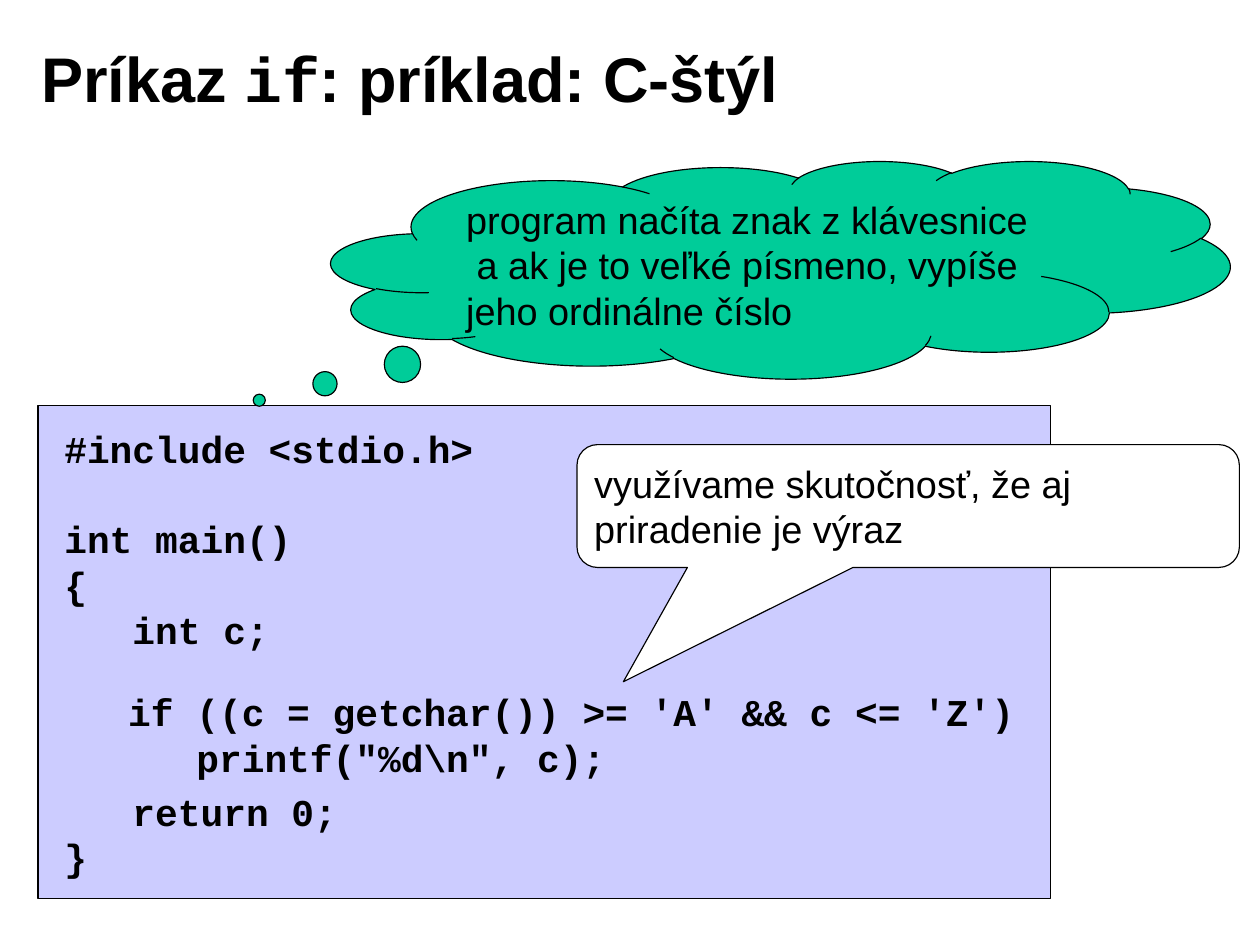
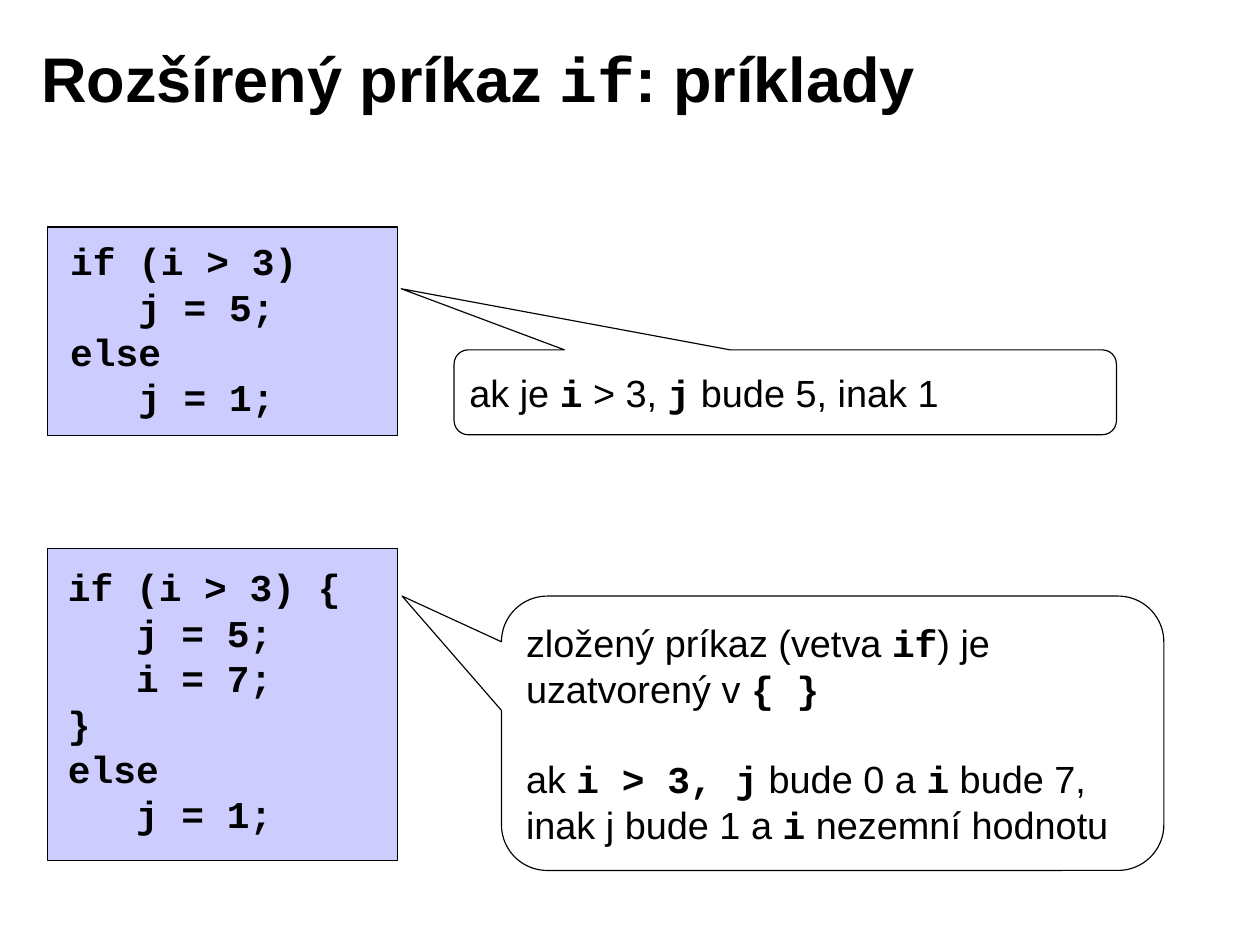
from pptx import Presentation
from pptx.dml.color import RGBColor
from pptx.enum.shapes import MSO_SHAPE as SHAPE
from pptx.enum.text import MSO_ANCHOR as ANCHOR, MSO_AUTO_SIZE as AUTO, PP_ALIGN as ALIGN
from pptx.util import Cm, Pt

BLACK = RGBColor(0x00, 0x00, 0x00)
WHITE = RGBColor(0xFF, 0xFF, 0xFF)
LILAC = RGBColor(0xCC, 0xCC, 0xFF)
GREEN = RGBColor(0x00, 0xCC, 0x99)
SANS, MONO = "Arial", "Courier New"
TITLE_SIZE, BODY_SIZE = Pt(40), Pt(24)
LINE_PITCH = Pt(28.8)
TITLE_BOX = (0.64, 0.43, 22.65, 2.6)
CALLOUT_W = 14.82
ROUNDING = 0.167


class Deck:
    def __init__(self):
        self.prs = Presentation()
        self.prs.slide_width, self.prs.slide_height = Cm(28.19), Cm(21.08)
        self.s = None

    def slide(self, title):
        self.s = self.prs.slides.add_slide(self.prs.slide_layouts[5])
        sp = self.s.shapes.title
        sp.left, sp.top, sp.width, sp.height = map(Cm, TITLE_BOX)
        tf = sp.text_frame
        tf.auto_size = AUTO.NONE
        tf.vertical_anchor = ANCHOR.MIDDLE
        tf.margin_left = tf.margin_right = Cm(0.28)
        tf.margin_top = tf.margin_bottom = Cm(0.15)
        p = tf.paragraphs[0]
        p.alignment = ALIGN.LEFT
        p.font.size, p.font.bold = TITLE_SIZE, True
        p.font.color.rgb = BLACK
        self.runs(p, title)

    def runs(self, p, text):
        """Add text to p: backticks enclose bold code, a newline breaks the line."""
        for n, line in enumerate(text.split("\n")):
            if n:
                p.add_line_break()
            for i, part in enumerate(line.split("`")):
                if part:
                    r = p.add_run()
                    r.text = part
                    r.font.name = MONO if i % 2 else SANS
                    if i % 2:
                        r.font.bold = True

    def lines(self, tf, lines, code=False):
        """Fill tf; each empty line becomes space before the next one."""
        p, gap = tf.paragraphs[0], 0
        for i, line in enumerate(lines):
            if not line:
                gap += 1
                continue
            if i:
                p = tf.add_paragraph()
            p.alignment = ALIGN.LEFT
            p.line_spacing = LINE_PITCH
            p.space_before = LINE_PITCH * gap
            p.font.size = BODY_SIZE
            p.font.color.rgb = BLACK
            if code:
                p.text = line
                p.font.name, p.font.bold = MONO, True
            else:
                self.runs(p, line)
            gap = 0

    def shape(self, kind, box, fill, adjustments=()):
        sp = self.s.shapes.add_shape(kind, *map(Cm, box))
        sp.shadow.inherit = False
        sp.fill.solid()
        sp.fill.fore_color.rgb = fill
        sp.line.color.rgb = BLACK
        sp.line.width = Pt(0.75)
        for i, value in enumerate(adjustments):
            sp.adjustments[i] = value
        return sp

    def panel(self, *box):
        self.shape(SHAPE.RECTANGLE, box, LILAC)

    def code(self, box, source):
        tf = self.s.shapes.add_textbox(*map(Cm, box)).text_frame
        tf.word_wrap = False
        self.lines(tf, source.split("\n"), code=True)

    def bubble(self, kind, box, fill, adjustments, lines):
        tf = self.shape(kind, box, fill, adjustments).text_frame
        tf.word_wrap = True
        tf.vertical_anchor = ANCHOR.MIDDLE
        self.lines(tf, lines)

    def cloud(self, box, tail, *lines):
        self.bubble(SHAPE.CLOUD_CALLOUT, box, GREEN, tail, lines)

    def callout(self, left, top, height, tail, *lines):
        self.bubble(SHAPE.ROUNDED_RECTANGULAR_CALLOUT, (left, top, CALLOUT_W, height),
                    WHITE, (*tail, ROUNDING), lines)


def c_style_slide(deck):
    deck.slide("Príkaz `if`: príklad: C-štýl")
    deck.panel(0.85, 9.07, 22.65, 11.03)
    deck.code((1.19, 9.39, 9.65, 10.41), """#include <stdio.h>

int main()
{
   int c;



   return 0;
}""")
    deck.cloud((7.41, 3.6, 20.11, 4.87), (-0.58, 0.6),
               "program načíta znak z klávesnice\n a ak je to veľké písmeno, "
               "vypíše jeho ordinálne číslo")
    deck.code((2.62, 15.29, 20.32, 2.29), r"""if ((c = getchar()) >= 'A' && c <= 'Z')
   printf("%d\n", c);""")
    deck.callout(12.91, 9.95, 2.75, (-0.43, 1.43),
                 "využívame skutočnosť, že aj priradenie je výraz")


def examples_slide(deck):
    deck.slide("Rozšírený príkaz `if`: príklady")
    deck.panel(1.06, 5.08, 7.83, 4.66)
    deck.code((1.32, 5.2, 5.6, 4.32), """if (i > 3)
   j = 5;
else
   j = 1;""")
    deck.callout(10.16, 7.83, 1.9, (-0.58, -1.22), "ak je `i` > 3, `j` bude 5, inak 1")
    deck.panel(1.06, 12.28, 7.83, 6.98)
    deck.code((1.27, 12.5, 6.6, 6.35), """if (i > 3) {
   j = 5;
   i = 7;
}
else
   j = 1;""")
    deck.callout(11.22, 13.34, 6.14, (-0.65, -0.5),
                 "zložený príkaz (vetva `if`) je uzatvorený v `{ }`",
                 "",
                 "ak `i > 3, j` bude 0 a `i` bude 7, inak j bude 1 a `i` nezemní hodnotu")


def main():
    deck = Deck()
    c_style_slide(deck)
    examples_slide(deck)
    deck.prs.save("out.pptx")


if __name__ == "__main__":
    main()
